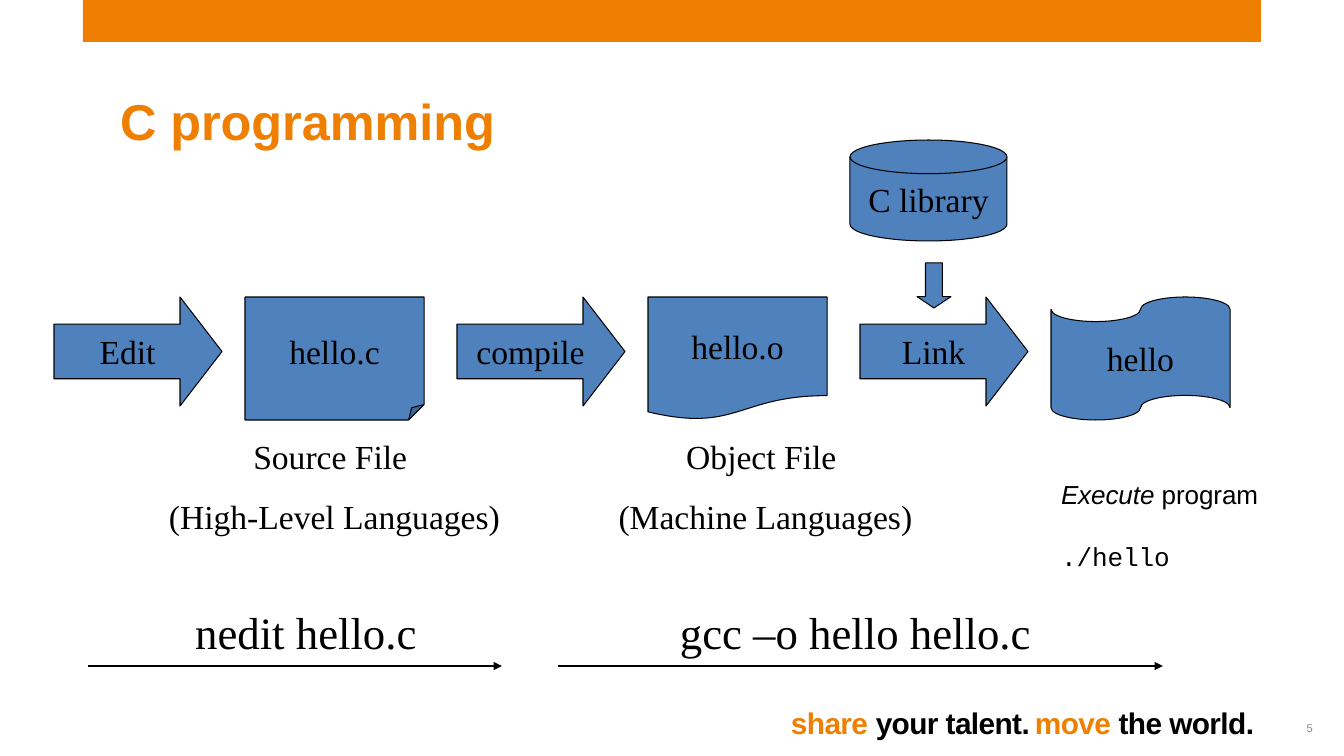
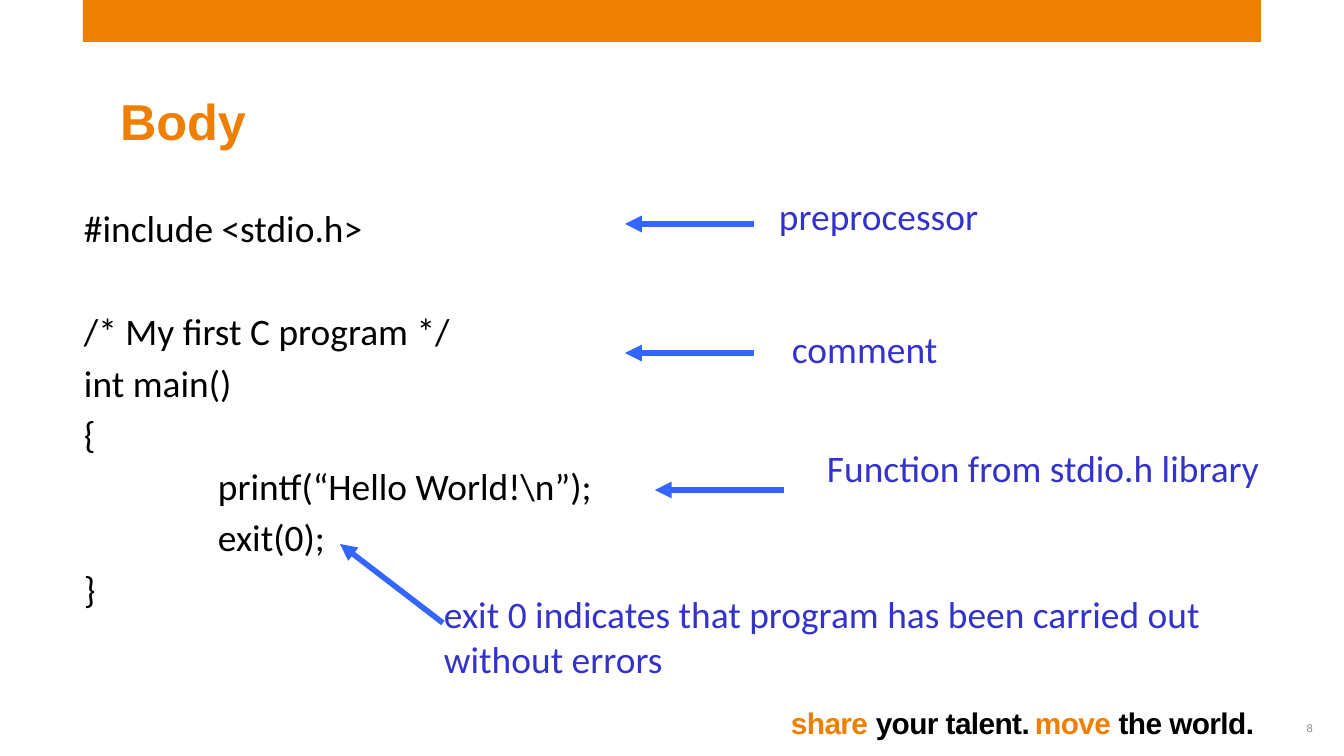
import pptx
import pptx.dml.color
import pptx.enum.shapes
import pptx.enum.text
import pptx.oxml
import pptx.oxml.ns
import pptx.util

SHAPE = pptx.enum.shapes.MSO_SHAPE
ALIGN = pptx.enum.text.PP_ALIGN
ANCHOR = pptx.enum.text.MSO_ANCHOR
Pt = pptx.util.Pt

SCALE = 914400 / 100.8
PAGE = (0, 0, 1344, 756)
ORANGE, BLACK, GREY = "EE7F00", "000000", "898989"
STEEL, ARROW_BLUE, NOTE_BLUE = "4F81BD", "3366FF", "3333CC"

TITLE = {"name": "Arial", "size": Pt(36), "bold": True, "color": ORANGE}
SLOGAN = {"name": "Arial", "size": Pt(21.3), "bold": True, "spc": -40}
NUMBER = {"name": "Arial", "size": Pt(8), "color": GREY}
LABEL = {"name": "Times New Roman", "size": Pt(24), "color": BLACK}
COMMAND = {**LABEL, "size": Pt(32)}
EXECUTE = {"name": "Arial", "size": Pt(32), "color": BLACK, "baseline": -25000}
CODE = {"name": "Calibri", "size": Pt(26.7), "color": BLACK}
NOTE = {**CODE, "color": NOTE_BLUE}


def px(length):
    """Turn pixels into EMU."""
    return pptx.util.Emu(round(length * SCALE))


def rgb(value):
    """Turn a hex string into a colour."""
    return pptx.dml.color.RGBColor.from_string(value)


def inside(box, x, y, width, height):
    """Return a box placed relative to the corner of another."""
    return box[0] + x, box[1] + y, width, height


def set_values(target, values):
    """Set every attribute in a dict of format values."""
    for name, value in values.items():
        setattr(target, name, value)


def style_font(run, style):
    """Apply a text style to a run."""
    for name, value in style.items():
        if name == "color":
            run.font.color.rgb = rgb(value)
        elif name in ("spc", "baseline"):
            run.font._element.set(name, str(value))
        else:
            setattr(run.font, name, value)


def fill_text(frame, lines, style, inset=(10, 5), paragraph=None, **layout):
    """Write lines of (text, style changes) runs into a text frame."""
    across, down = map(px, inset)
    set_values(frame, {"word_wrap": True, "margin_left": across, "margin_right": across,
                       "margin_top": down, "margin_bottom": down, **layout})
    for index, runs in enumerate(lines):
        line = frame.paragraphs[0] if index == 0 else frame.add_paragraph()
        set_values(line, paragraph or {})
        if index == 0:
            line.space_before = Pt(0)
        for text, changes in runs:
            if text == "\n":
                line.add_line_break()
                continue
            run = line.add_run()
            run.text = text
            style_font(run, {**style, **changes})


def add_text(slide, box, lines, style, **options):
    """Add a text box and return its frame."""
    frame = slide.shapes.add_textbox(*map(px, box)).text_frame
    fill_text(frame, lines, style, **options)
    return frame


def add_block(slide, box, kind, fill, outline=None, label=None, guides=None):
    """Add a filled preset shape with an optional centred label."""
    block = slide.shapes.add_shape(kind, *map(px, box))
    block.shadow.inherit = False
    block.fill.solid()
    block.fill.fore_color.rgb = rgb(fill)
    if outline:
        block.line.color.rgb = rgb(outline)
        block.line.width = Pt(0.75)
    else:
        block.line.fill.background()
    if guides:
        geometry = block._element.spPr.find(pptx.oxml.ns.qn("a:prstGeom"))
        geometry.rewrite_guides(list(guides.items()))
    if label:
        fill_text(block.text_frame, [[(label, {})]], LABEL, word_wrap=False,
                  vertical_anchor=ANCHOR.MIDDLE, paragraph={"alignment": ALIGN.CENTER})


def add_arrow(slide, start, end, color, width):
    """Draw a straight arrow from start to end."""
    arrow = slide.shapes.add_connector(pptx.enum.shapes.MSO_CONNECTOR.STRAIGHT,
                                       *map(px, (*start, *end)))
    arrow.line.color.rgb = rgb(color)
    arrow.line.width = Pt(width)
    head = pptx.oxml.parse_xml(
        f'<a:tailEnd {pptx.oxml.ns.nsdecls("a")} type="triangle"/>')
    arrow.line._get_or_add_ln().append(head)
    effects = pptx.oxml.parse_xml(f'<a:effectLst {pptx.oxml.ns.nsdecls("a")}/>')
    arrow._element.spPr.append(effects)


def add_frame(slide, box, title, number):
    """Place the band, title, slogan and page number shared by all slides."""
    slogans = ((791, 252, "share ", "your talent."), (1035, 230, "move ", "the world."))
    for x, width, verb, rest in slogans:
        add_text(slide, inside(box, x, 697, width, 43),
                 [[(verb, {"color": ORANGE}), (rest, {"color": BLACK})]], SLOGAN,
                 inset=(0, 0), vertical_anchor=ANCHOR.BOTTOM,
                 paragraph={"line_spacing": Pt(24)})
    add_block(slide, inside(box, 83, 0, 1178, 42), SHAPE.RECTANGLE, ORANGE)
    add_text(slide, inside(box, 110, 85, 1144, 71), [[(title, {})]], TITLE,
             vertical_anchor=ANCHOR.BOTTOM)
    add_text(slide, inside(box, 1265, 708, 48, 40), [[(number, {})]], NUMBER,
             inset=(0, 0), vertical_anchor=ANCHOR.MIDDLE,
             paragraph={"alignment": ALIGN.RIGHT})


def add_stage(slide, box, action, product, kind, guides):
    """Place an action arrow and the file it leads to."""
    add_block(slide, inside(box, 0, 0, 168, 109), SHAPE.RIGHT_ARROW, STEEL, BLACK,
              action, {"adj1": 50000, "adj2": 38500})
    add_block(slide, inside(box, 191, 0, 179, 123), kind, STEEL, BLACK, product, guides)


def add_library(slide, box):
    """Place the C library with the arrow below it."""
    add_block(slide, inside(box, 0, 0, 157, 101), SHAPE.FLOWCHART_MAGNETIC_DISK,
              STEEL, BLACK, "C library")
    add_block(slide, inside(box, 67, 123, 34, 45), SHAPE.DOWN_ARROW, STEEL, BLACK,
              guides={"adj1": 50000, "adj2": 33300})


def add_command(slide, box, command, start, length):
    """Place a shell command over the arrow for the steps it covers."""
    add_arrow(slide, (box[0] + start, box[1] + 66),
              (box[0] + start + length, box[1] + 66), BLACK, 0.75)
    add_text(slide, box, [[(command, {})]], COMMAND,
             paragraph={"alignment": ALIGN.CENTER})


def add_build_flow(slide, box):
    """Place the path from source file to program."""
    stages = (("Edit", "hello.c", SHAPE.FOLDED_CORNER, {"adj": 12500}),
              ("compile", "hello.o", SHAPE.FLOWCHART_DOCUMENT, None),
              ("Link", "hello", SHAPE.FLOWCHART_PUNCHED_TAPE, None))
    for index, stage in enumerate(stages):
        add_stage(slide, inside(box, 54 + 403 * index, 297, 370, 123), *stage)
    add_library(slide, inside(box, 850, 140, 157, 168))
    captions = ((155, 359, "Source File ", "(High-Level Languages)"),
                (603, 325, "Object File ", "(Machine Languages)"))
    for x, width, *lines in captions:
        add_text(slide, inside(box, x, 431, width, 112),
                 [[(line, {})] for line in lines], LABEL,
                 paragraph={"alignment": ALIGN.CENTER, "space_before": Pt(13.8)})
    add_command(slide, inside(box, 88, 600, 436, 65), "nedit hello.c", 0, 414)
    add_command(slide, inside(box, 514, 600, 683, 65), "gcc –o hello hello.c", 44, 605)
    add_text(slide, inside(box, 1051, 444, 672, 83),
             [[("Execute", {"italic": True}), (" program", {}), ("\n", {}),
               ("./hello", {"name": "Courier New"})]], EXECUTE)


def add_listing(slide, box):
    """Place the program with its indented body."""
    lines = ("#include <stdio.h>", "/* My first C program */", "int main()", "{",
             "printf(“Hello World!\\n”);", "exit(0);", "}")
    frame = add_text(slide, box, [[(line, {})] for line in lines], CODE, inset=(13, 7),
                     paragraph={"space_before": Pt(4.7)})
    frame.paragraphs[1].space_before = Pt(42)
    for line in frame.paragraphs[4:6]:
        line._p.get_or_add_pPr().set("marL", str(px(134)))


def add_annotations(slide, box):
    """Place the notes and the arrows that tie them to the code."""
    notes = (("preprocessor", (769, 188, 337, 75), (754, 224), (625, 224)),
             ("comment", (782, 321, 287, 75), (754, 353), (625, 353)),
             ("Function from stdio.h library", (817, 440, 483, 75), (784, 490), (655, 490)),
             ("exit 0 indicates that program has been carried out without errors",
              (434, 586, 878, 116), (443, 623), (340, 544)))
    for note, place, *ends in notes:
        start, end = ((box[0] + x, box[1] + y) for x, y in ends)
        add_arrow(slide, start, end, ARROW_BLUE, 4)
        add_text(slide, inside(box, *place), [[(note, {})]], NOTE)


def add_program(slide, box):
    """Place the listing and its annotations."""
    add_listing(slide, inside(box, 71, 198, 679, 501))
    add_annotations(slide, box)


deck = pptx.Presentation()
set_values(deck, {"slide_width": px(PAGE[2]), "slide_height": px(PAGE[3])})
for heading, page_number, add_content in (("C programming", "5", add_build_flow),
                                          ("Body", "8", add_program)):
    page = deck.slides.add_slide(deck.slide_layouts[6])
    add_frame(page, PAGE, heading, page_number)
    add_content(page, PAGE)
deck.save("out.pptx")
